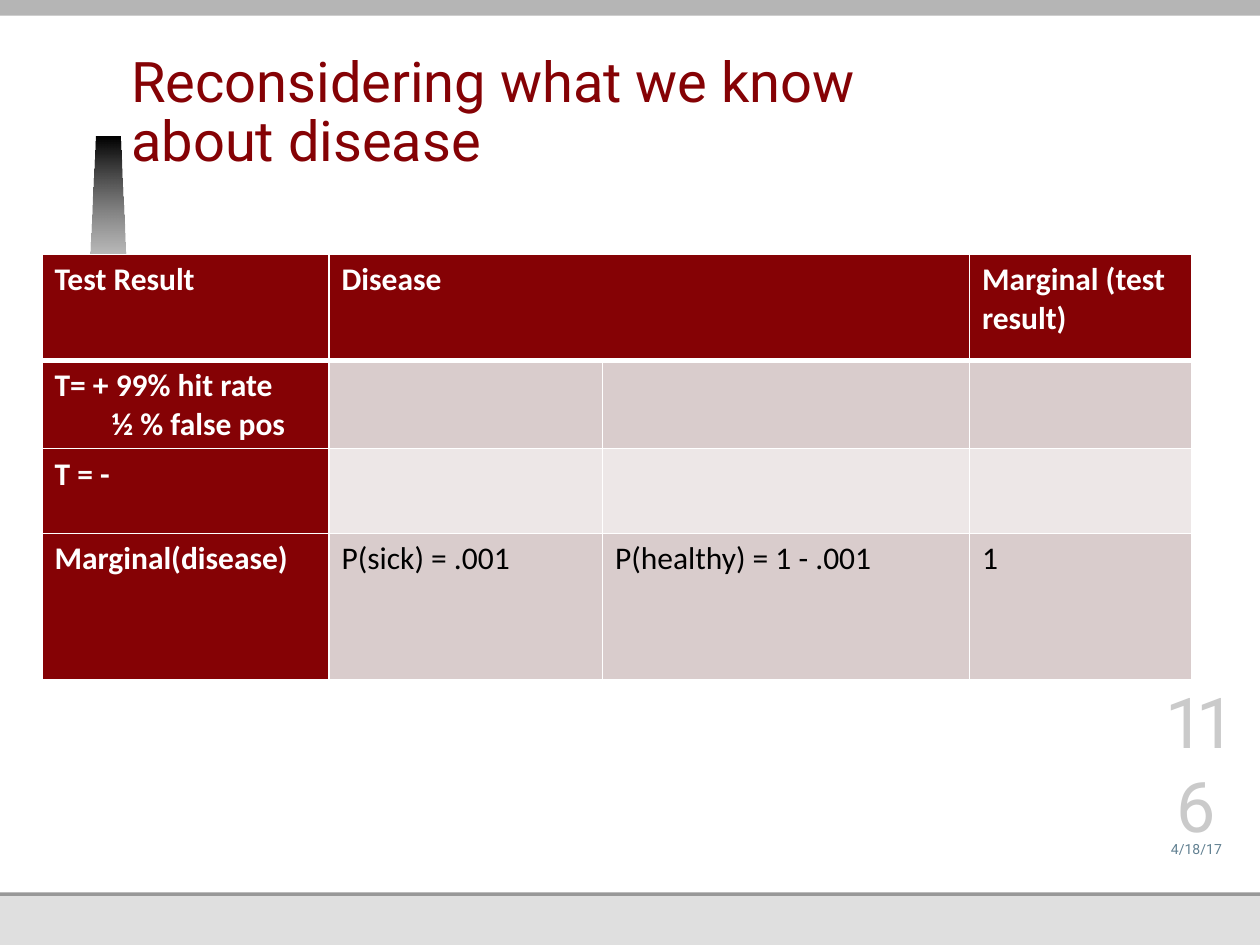
from dataclasses import dataclass

from lxml import etree
from pptx import Presentation
from pptx.dml.color import RGBColor
from pptx.enum.shapes import MSO_SHAPE
from pptx.enum.text import MSO_ANCHOR, PP_ALIGN
from pptx.oxml.ns import qn
from pptx.util import Pt

RECTANGLE = MSO_SHAPE.RECTANGLE
BOTTOM = MSO_ANCHOR.BOTTOM
LEFT, CENTER = PP_ALIGN.LEFT, PP_ALIGN.CENTER


@dataclass(frozen=True)
class Theme:
    heading_font: str = "Roboto"
    table_font: str = "Calibri"
    accent: str = "850205"
    white: str = "FFFFFF"
    black: str = "000000"
    odd_row: str = "D9CCCC"
    even_row: str = "EDE7E7"
    footer_band: str = "DFDFDF"
    rule: str = "989898"
    top_band: str = "B5B5B5"
    date: str = "618091"
    number: str = "CACACA"
    title_size: float = 32
    table_size: float = 18
    date_size: float = 8
    number_size: float = 40
    thin: float = 1
    thick: float = 3


THEME = Theme()


@dataclass(frozen=True)
class Band:
    top: float
    width: float
    height: float
    color: str


@dataclass(frozen=True)
class Label:
    text: str
    left: float
    top: float
    width: float
    height: float
    size: float
    color: str
    alignment: PP_ALIGN = CENTER
    bottom_inset: float = 0
    line_spacing: float | None = None
    tracking: float = 0


BANDS = [
    Band(0, 720, 540, THEME.footer_band),
    Band(128, 720, 384, THEME.rule),
    Band(0, 720, 510, THEME.white),
    Band(0, 569, 8, THEME.rule),
]
TOP_BAND = Band(-3, 732, 12, THEME.top_band)

TITLE = Label("Reconsidering what we know about disease", 75, 24.5, 494.6, 77.8,
              THEME.title_size, THEME.accent, LEFT, bottom_inset=3.6, line_spacing=34)
DATE = Label("4/18/17", 657.5, 474, 52.5, 15.8, THEME.date_size, THEME.date)
SLIDE_NUMBER = Label("116", 657.5, 443.5, 52.5, 40.3, THEME.number_size, THEME.number,
                     tracking=-5)

TABLE_LEFT, TABLE_TOP = 24, 145.5
COLUMN_WIDTHS = [164, 156.3, 209.7, 126.8]
ROW_HEIGHTS = [60.5, 48.5, 48.5, 83.5]
FALSE_POSITIVE_INDENT = 32.5
CELL_LINES = [
    [["Test Result"], ["Disease"], [], ["Marginal (test result)"]],
    [["T= + 99% hit rate", "½ % false pos"], [], [], []],
    [["T = -"], [], [], []],
    [["Marginal(disease)"], ["P(sick) = .001"], ["P(healthy) = 1 - .001"], ["1"]],
]


def rgb(color: str) -> RGBColor:
    return RGBColor.from_string(color)


def style_font(font, name: str, size: float, color: str, bold: bool = False) -> None:
    for attribute, value in {"name": name, "size": Pt(size), "bold": bold}.items():
        setattr(font, attribute, value)
    font.color.rgb = rgb(color)


def draw_band(slide, band: Band) -> None:
    shape = slide.shapes.add_shape(RECTANGLE, Pt(0), Pt(band.top),
                                   Pt(band.width), Pt(band.height))
    shape.shadow.inherit = False
    shape.fill.solid()
    shape.fill.fore_color.rgb = rgb(band.color)
    shape.line.fill.background()


def draw_fading_wedge(slide) -> None:
    """Draw the tapered bar that fades from black to clear white."""
    builder = slide.shapes.build_freeform(Pt(48.2), Pt(219.3), scale=1.0)
    corners = [(54.6, 77.8), (68.5, 77.8), (75, 219.3)]
    builder.add_line_segments([(Pt(x), Pt(y)) for x, y in corners], close=True)
    shape = builder.convert_to_shape()
    shape.shadow.inherit = False
    shape.line.fill.background()
    shape.fill.gradient()
    shape.fill.gradient_angle = 270
    for stop, color, position in zip(shape.fill.gradient_stops,
                                     (THEME.black, THEME.white), (0, 1)):
        stop.color.rgb = rgb(color)
        stop.position = position
    last_color = list(shape.element.iter(qn("a:srgbClr")))[-1]
    etree.SubElement(last_color, qn("a:alpha"), val="0")


def draw_label(slide, label: Label) -> None:
    box = slide.shapes.add_textbox(Pt(label.left), Pt(label.top),
                                   Pt(label.width), Pt(label.height))
    frame_format = {
        "word_wrap": True, "vertical_anchor": BOTTOM,
        "margin_left": 0, "margin_right": 0, "margin_top": 0,
        "margin_bottom": Pt(label.bottom_inset),
    }
    for attribute, value in frame_format.items():
        setattr(box.text_frame, attribute, value)
    paragraph = box.text_frame.paragraphs[0]
    paragraph.alignment = label.alignment
    if label.line_spacing:
        paragraph.line_spacing = Pt(label.line_spacing)
    run = paragraph.add_run()
    run.text = label.text
    style_font(run.font, THEME.heading_font, label.size, label.color)
    if label.tracking:
        run.font._element.set("spc", str(int(label.tracking * 100)))


def set_borders(cell, row_index: int) -> None:
    """Give the cell white borders, thicker between header and body."""
    widths = {
        "a:lnL": THEME.thin,
        "a:lnR": THEME.thin,
        "a:lnT": THEME.thick if row_index == 1 else THEME.thin,
        "a:lnB": THEME.thick if row_index == 0 else THEME.thin,
    }
    properties = cell._tc.get_or_add_tcPr()
    for tag, width in widths.items():
        line = etree.SubElement(properties, qn(tag), w=str(Pt(width)))
        fill = etree.SubElement(line, qn("a:solidFill"))
        etree.SubElement(fill, qn("a:srgbClr"), val=THEME.white)


def fill_cell(cell, lines: list[str], row_index: int, column_index: int) -> None:
    is_heading = row_index == 0 or column_index == 0
    body_fill = THEME.odd_row if row_index % 2 else THEME.even_row
    set_borders(cell, row_index)
    cell.fill.solid()
    cell.fill.fore_color.rgb = rgb(THEME.accent if is_heading else body_fill)
    frame = cell.text_frame
    for index, text in enumerate(lines):
        paragraph = frame.add_paragraph() if index else frame.paragraphs[0]
        if index:
            paragraph._p.get_or_add_pPr().set("marL", str(Pt(FALSE_POSITIVE_INDENT)))
        run = paragraph.add_run()
        run.text = text
        style_font(run.font, THEME.table_font, THEME.table_size,
                   THEME.white if is_heading else THEME.black, is_heading)


def draw_probability_table(slide) -> None:
    table = slide.shapes.add_table(
        len(ROW_HEIGHTS), len(COLUMN_WIDTHS), Pt(TABLE_LEFT), Pt(TABLE_TOP),
        Pt(sum(COLUMN_WIDTHS)), Pt(sum(ROW_HEIGHTS))).table
    table.first_row = table.horz_banding = False
    for column, width in zip(table.columns, COLUMN_WIDTHS):
        column.width = Pt(width)
    for row, height in zip(table.rows, ROW_HEIGHTS):
        row.height = Pt(height)
    for row_index, row_lines in enumerate(CELL_LINES):
        for column_index, lines in enumerate(row_lines):
            fill_cell(table.cell(row_index, column_index), lines, row_index, column_index)
    table.cell(0, 1).merge(table.cell(0, 2))


def main() -> None:
    presentation = Presentation()
    presentation.slide_width, presentation.slide_height = Pt(720), Pt(540)
    slide = presentation.slides.add_slide(presentation.slide_layouts[6])
    for band in BANDS:
        draw_band(slide, band)
    draw_fading_wedge(slide)
    draw_band(slide, TOP_BAND)
    draw_label(slide, TITLE)
    draw_probability_table(slide)
    for label in (DATE, SLIDE_NUMBER):
        draw_label(slide, label)
    presentation.save("out.pptx")


if __name__ == "__main__":
    main()
